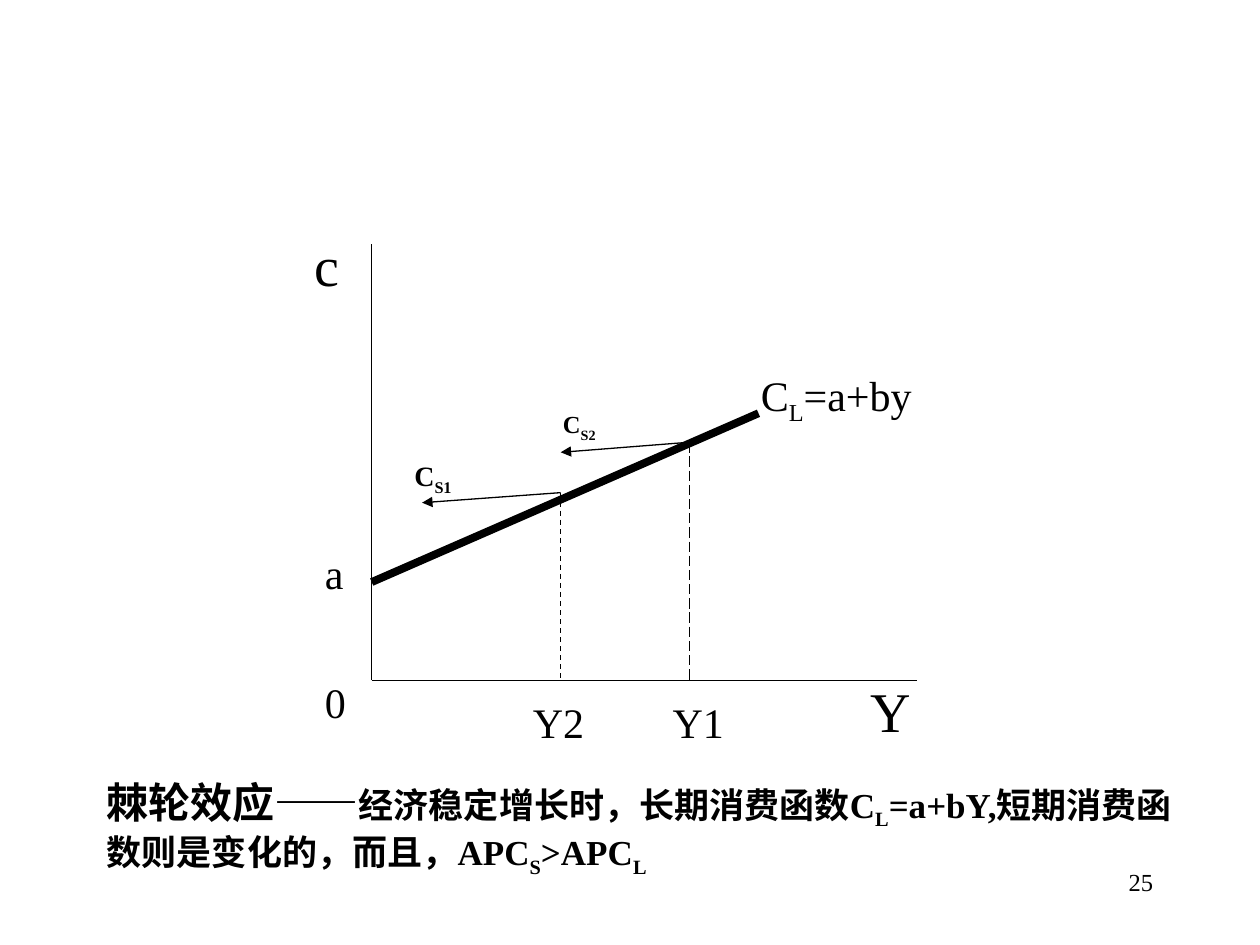
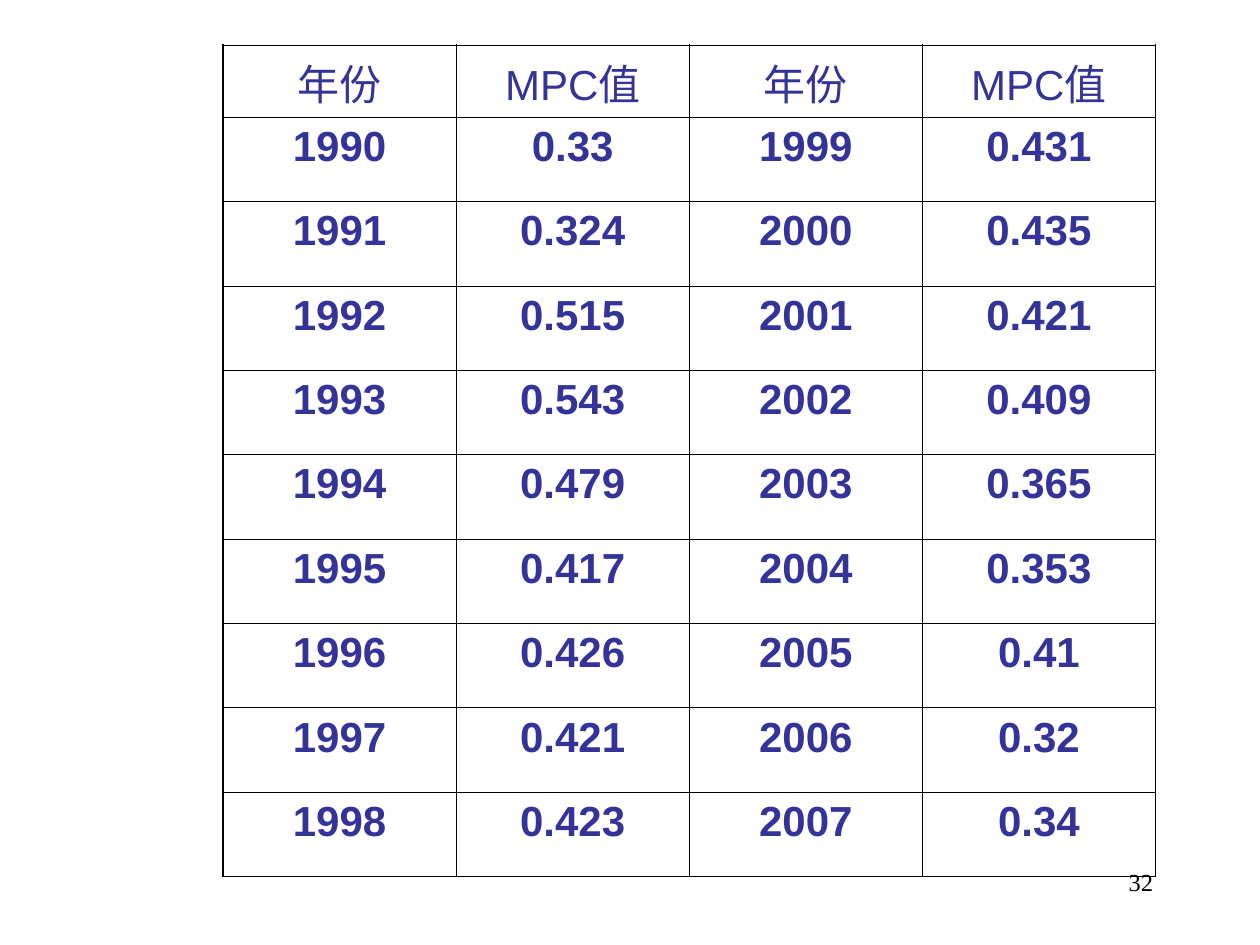
from dataclasses import dataclass

from lxml import etree
from pptx import Presentation
from pptx import util as u
from pptx.dml.color import RGBColor
from pptx.enum import dml, shapes, text
from pptx.oxml.ns import qn


@dataclass(frozen=True)
class Theme:
    ink: str = "000000"
    table_ink: str = "333399"
    paper: str = "FFFFFF"
    serif: str = "Times New Roman"
    sans: str = "Arial"
    axis_name: int = 32
    label: int = 24
    body: int = 20
    note: int = 16
    small: int = 14
    hairline: float = 0.75
    curve: float = 4.5
    inner_rule: float = 0.45
    outer_rule: float = 1.08


@dataclass(frozen=True)
class Box:
    left: float
    top: float
    width: float
    height: float


T = Theme()
COLS, ROWS = 100, 75  # square grid over the slide
CELL = u.Inches(10) // COLS
PAGE_NUMBER = Box(71.7, 68.3, 20.8, 5)
PLOT = Box(29.5, 19.4, 43.3, 34.6)
CAPTION = Box(7.5, 61.1, 86.6, 9)
TABLE = Box(17.7, 3.6, 74, 66)
HEADER_ROWS = 5.7

SUB = "sub"
MPC = (
    ("1990", "0.33", "1999", "0.431"),
    ("1991", "0.324", "2000", "0.435"),
    ("1992", "0.515", "2001", "0.421"),
    ("1993", "0.543", "2002", "0.409"),
    ("1994", "0.479", "2003", "0.365"),
    ("1995", "0.417", "2004", "0.353"),
    ("1996", "0.426", "2005", "0.41"),
    ("1997", "0.421", "2006", "0.32"),
    ("1998", "0.423", "2007", "0.34"),
)


def grid(*lengths):
    return [round(n * CELL) for n in lengths]


def style(p, size, name=T.serif, color=T.ink, bold=False):
    f = p.font
    f.size, f.name, f.bold = u.Pt(size), name, bold
    f.color.rgb = RGBColor.from_string(color)


def add_text(s, box, size, *parts, bold=False, align=text.PP_ALIGN.LEFT):
    """Add a text box; a part is a string or a (string, SUB or point size) pair."""
    sp = s.shapes.add_textbox(*grid(box.left, box.top, box.width, box.height))
    tf = sp.text_frame
    tf.word_wrap = True
    p = tf.paragraphs[0]
    p.alignment = align
    style(p, size, bold=bold)
    for part in parts:
        words, change = (part, None) if isinstance(part, str) else part
        r = p.add_run()
        r.text = words
        if change == SUB:
            r.font._element.set("baseline", "-25000")
        elif change:
            r.font.size = u.Pt(change)


def add_line(s, start, end, width=T.hairline, dash=None, arrow=False):
    c = s.shapes.add_connector(shapes.MSO_CONNECTOR.STRAIGHT, *grid(*start, *end))
    c.line.width = u.Pt(width)
    c.line.color.rgb = RGBColor.from_string(T.ink)
    if dash:
        c.line.dash_style = dash
    if arrow:
        etree.SubElement(c.line._get_or_add_ln(), qn("a:tailEnd"), type="triangle")
    etree.SubElement(c._element.spPr, qn("a:effectLst"))


def add_page_number(s, number):
    add_text(s, PAGE_NUMBER, T.small, str(number), align=text.PP_ALIGN.RIGHT)


def consumption_plot(s, box):
    def at(income, consumption):
        return box.left + income, box.top + box.height - consumption

    def label(income, consumption, width, size, *parts, bold=False):
        height = (size * 1.2 / 72 + 0.1) * 10
        add_text(s, Box(*at(income, consumption), width, height), size, *parts, bold=bold)

    origin = at(0, 0)
    add_line(s, at(0, box.height), origin)
    add_line(s, origin, at(box.width, 0))
    add_line(s, at(0, 7.8), at(30.7, 21.2), T.curve)

    dashes = dml.MSO_LINE
    for income, consumption, reach, dash in (
        (25.2, 18.9, 10.2, dashes.LONG_DASH),
        (15, 14.9, 11, dashes.DASH),
    ):
        peak = at(income, consumption)
        add_line(s, peak, at(income - reach, consumption - 0.8), arrow=True)
        add_line(s, peak, at(income, 0), dash=dash)

    label(29.9, 25.2, 23.6, T.label, "C", ("L", SUB), "=a+by")
    label(-5.5, 36.2, 7.1, T.axis_name, "c")
    label(38.6, 0.8, 9.5, T.axis_name, "Y")
    label(-4.7, 0.8, 6.3, T.label, "0")
    label(-4.7, 11, 7.1, T.label, "a")
    label(14.2, 22, 6.3, T.small, "C", ("S2", SUB), bold=True)
    label(2.4, 18.1, 6.3, T.note, "C", ("S1", SUB), bold=True)
    label(22.9, -0.8, 6.3, T.label, "Y1")
    label(11.8, -0.8, 7.9, T.label, "Y2")


def ratchet_caption(s, box):
    add_text(
        s, box, T.body,
        ("棘轮效应——", T.label), "经济稳定增长时，长期消费函数C", ("L", SUB),
        "=a+bY,短期消费函数则是变化的，而且，APC", ("S", SUB),
        ">APC", ("L", SUB),
        bold=True,
    )


def set_borders(cell, outer_sides):
    tcPr = cell._tc.get_or_add_tcPr()
    for i, side in enumerate("LRTB"):
        width = T.outer_rule if side in outer_sides else T.inner_rule
        ln = etree.Element(qn(f"a:ln{side}"), w=str(u.Pt(width)))
        fill = etree.SubElement(ln, qn("a:solidFill"))
        etree.SubElement(fill, qn("a:srgbClr"), val=T.ink)
        tcPr.insert(i, ln)


def mpc_table(s, box):
    rows = [("年份", "MPC值") * 2, *MPC]
    last_row, last_col = len(rows) - 1, len(rows[0]) - 1
    frame = s.shapes.add_table(
        len(rows), len(rows[0]), *grid(box.left, box.top, box.width, box.height))
    table = frame.table
    table.first_row = table.horz_banding = False
    for col in table.columns:
        col.width = grid(box.width / len(rows[0]))[0]
    for i, values in enumerate(rows):
        height = (box.height - HEADER_ROWS) / last_row if i else HEADER_ROWS
        table.rows[i].height = grid(height)[0]
        for j, value in enumerate(values):
            cell = table.cell(i, j)
            cell.text = value
            p = cell.text_frame.paragraphs[0]
            p.alignment = text.PP_ALIGN.CENTER
            style(p, T.label, T.sans, T.table_ink, bold=i > 0)
            cell.fill.background()
            edges = {"L": j == 0, "R": j == last_col, "T": i == 0, "B": i == last_row}
            set_borders(cell, [side for side, outer in edges.items() if outer])


def add_slide(prs, number):
    s = prs.slides.add_slide(prs.slide_layouts[6])
    s.background.fill.solid()
    s.background.fill.fore_color.rgb = RGBColor.from_string(T.paper)
    add_page_number(s, number)
    return s


def ratchet_slide(prs):
    s = add_slide(prs, 25)
    consumption_plot(s, PLOT)
    ratchet_caption(s, CAPTION)


def mpc_slide(prs):
    mpc_table(add_slide(prs, 32), TABLE)


def main():
    prs = Presentation()
    prs.slide_width, prs.slide_height = grid(COLS, ROWS)
    ratchet_slide(prs)
    mpc_slide(prs)
    prs.save("out.pptx")


if __name__ == "__main__":
    main()
